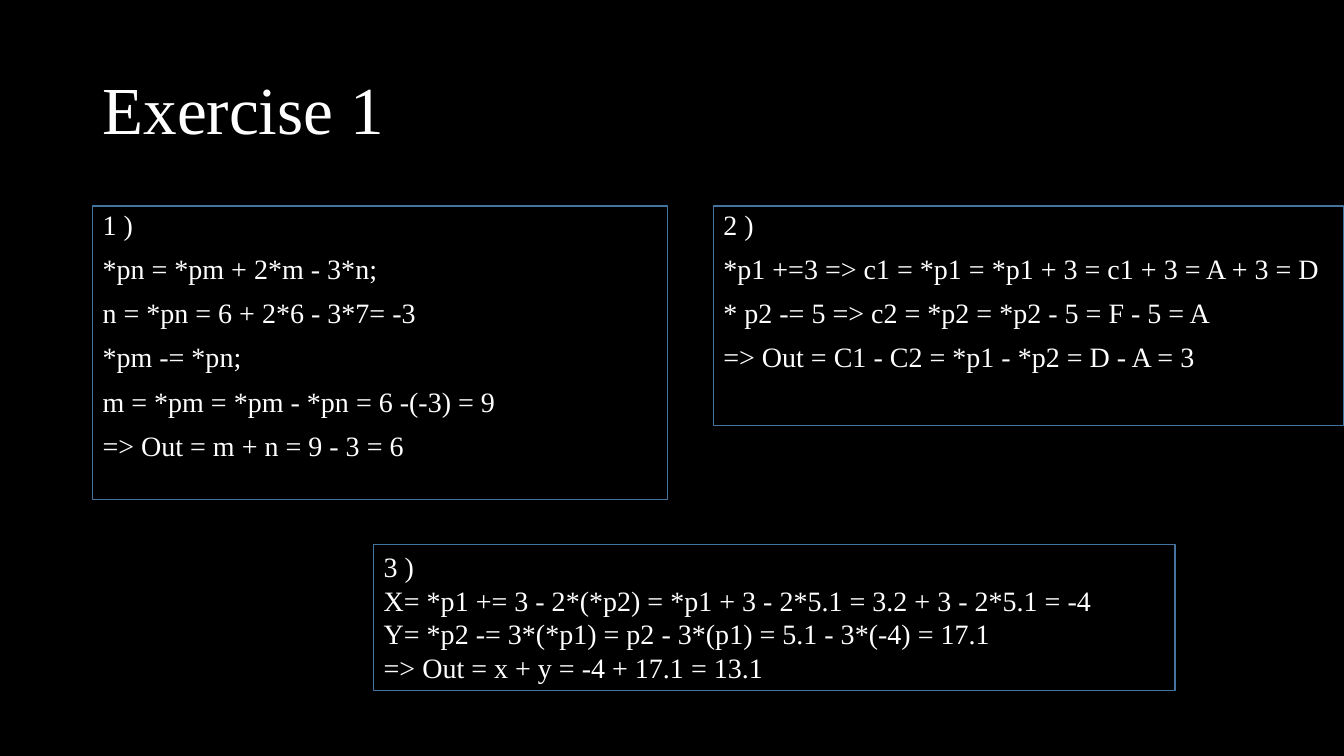
from pptx import Presentation
from pptx.dml.color import RGBColor
from pptx.enum.text import MSO_ANCHOR, MSO_AUTO_SIZE, PP_ALIGN
from pptx.oxml.ns import qn
from pptx.util import Cm, Pt
from lxml.etree import SubElement

FONT = "Times New Roman"
WHITE, BLACK, BLUE = "FFFFFF", "000000", "43739E"
LIST_SPACING = {"line_spacing": 0.9, "space_before": Pt(10)}
PLAIN_SPACING = {"line_spacing": 1.0, "space_before": Pt(0)}

POINTERS = [
    "1 )",
    "*pn = *pm + 2*m - 3*n;",
    "n = *pn = 6 + 2*6 - 3*7= -3",
    "*pm -= *pn;",
    "m = *pm = *pm - *pn = 6 -(-3) = 9",
    "=> Out = m + n = 9 - 3 = 6",
]
CHARACTERS = [
    "2 )",
    "*p1 +=3 => c1 = *p1 = *p1 + 3 = c1 + 3 = A + 3 = D",
    "* p2 -= 5 => c2 = *p2 = *p2 - 5 = F - 5 = A",
    "=> Out = C1 - C2 = *p1 - *p2 = D - A = 3",
]
DECIMALS = [
    "3 )",
    "X= *p1 += 3 - 2*(*p2) = *p1 + 3 - 2*5.1 = 3.2 + 3 - 2*5.1 = -4",
    "Y= *p2 -= 3*(*p1) = p2 - 3*(p1) = 5.1 - 3*(-4) = 17.1",
    "=> Out = x + y = -4 + 17.1 = 13.1",
]


def rgb(value):
    return RGBColor.from_string(value)


def apply(target, formats):
    for name, value in formats.items():
        setattr(target, name, value)


def place(sp, left, top, width, height):
    apply(sp, {"left": Cm(left), "top": Cm(top),
               "width": Cm(width), "height": Cm(height)})


def write(tf, lines, size, spacing, anchor):
    apply(tf, {"word_wrap": True, "auto_size": MSO_AUTO_SIZE.NONE,
               "vertical_anchor": anchor})
    for i, line in enumerate(lines):
        p = tf.add_paragraph() if i else tf.paragraphs[0]
        apply(p, {"alignment": PP_ALIGN.LEFT, **spacing})
        r = p.add_run()
        r.text = line
        apply(r.font, {"name": FONT, "size": Pt(size)})
        r.font.color.rgb = rgb(WHITE)


def remove_bullets(tf):
    for p in tf.paragraphs:
        pPr = p._p.get_or_add_pPr()
        pPr.set("marL", "0")
        pPr.set("indent", "0")
        SubElement(pPr, qn("a:buNone"))


def answer_box(sp, box, lines, spacing=LIST_SPACING, anchor=MSO_ANCHOR.TOP):
    place(sp, *box)
    sp.line.color.rgb = rgb(BLUE)
    sp.line.width = Pt(1)
    write(sp.text_frame, lines, 20, spacing, anchor)


def main():
    prs = Presentation()
    apply(prs, {"slide_width": Cm(33.87), "slide_height": Cm(19.05)})
    s = prs.slides.add_slide(prs.slide_layouts[1])
    s.background.fill.solid()
    s.background.fill.fore_color.rgb = rgb(BLACK)

    title, body = s.placeholders
    place(title, 2.33, 1.01, 29.21, 3.68)
    write(title.text_frame, ["Exercise 1"], 48, {"line_spacing": 0.9},
          MSO_ANCHOR.MIDDLE)

    answer_box(body, (2.33, 5.19, 14.5, 7.4), POINTERS)
    remove_bullets(body.text_frame)

    right = s.shapes.add_textbox(0, 0, 0, 0)
    answer_box(right, (17.98, 5.19, 15.88, 5.54), CHARACTERS)
    bottom = s.shapes.add_textbox(0, 0, 0, 0)
    answer_box(bottom, (9.42, 13.72, 20.19, 3.68), DECIMALS, PLAIN_SPACING)

    prs.save("out.pptx")


if __name__ == "__main__":
    main()
